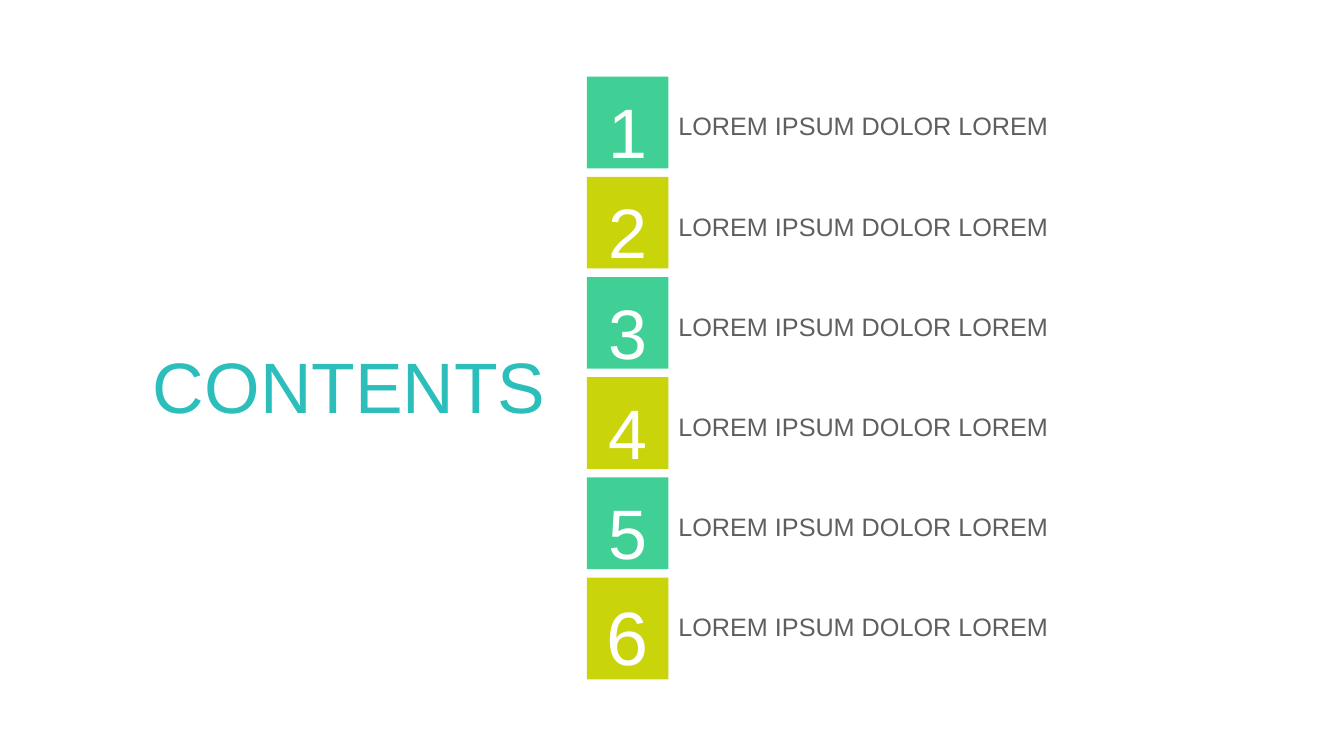
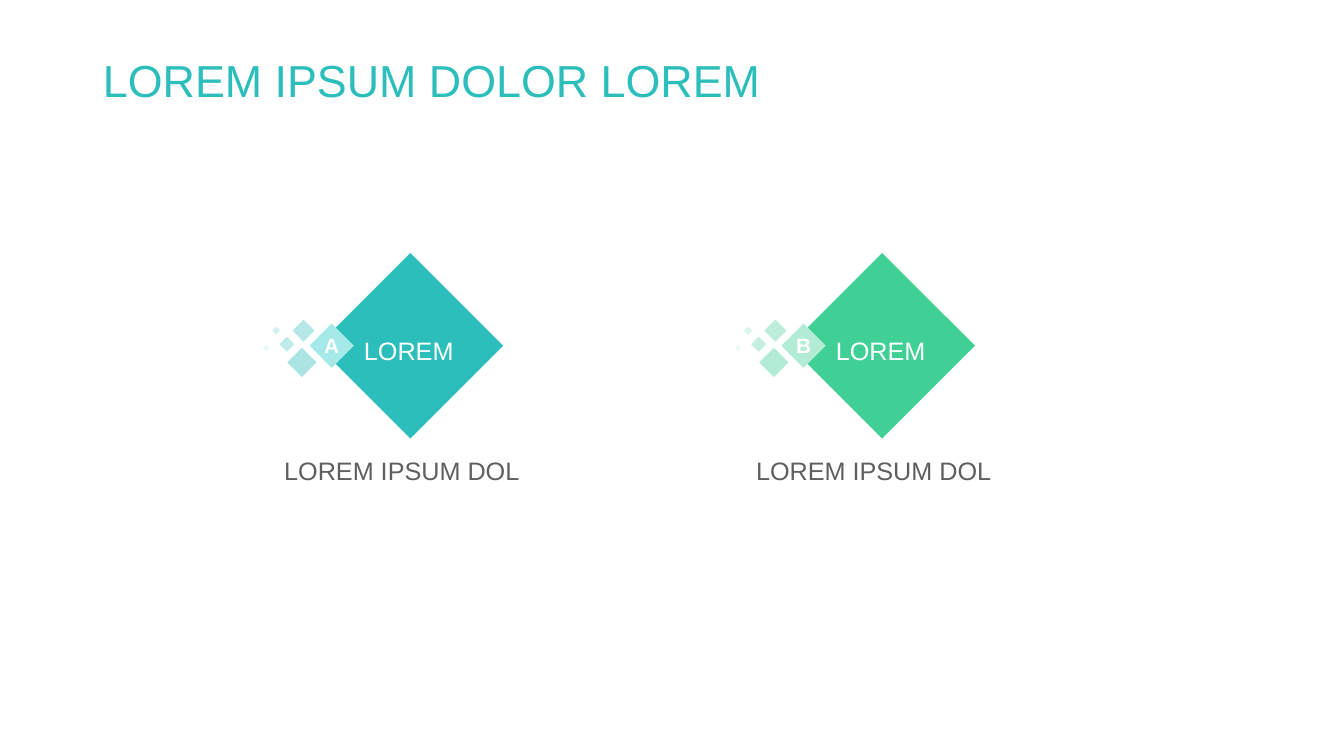
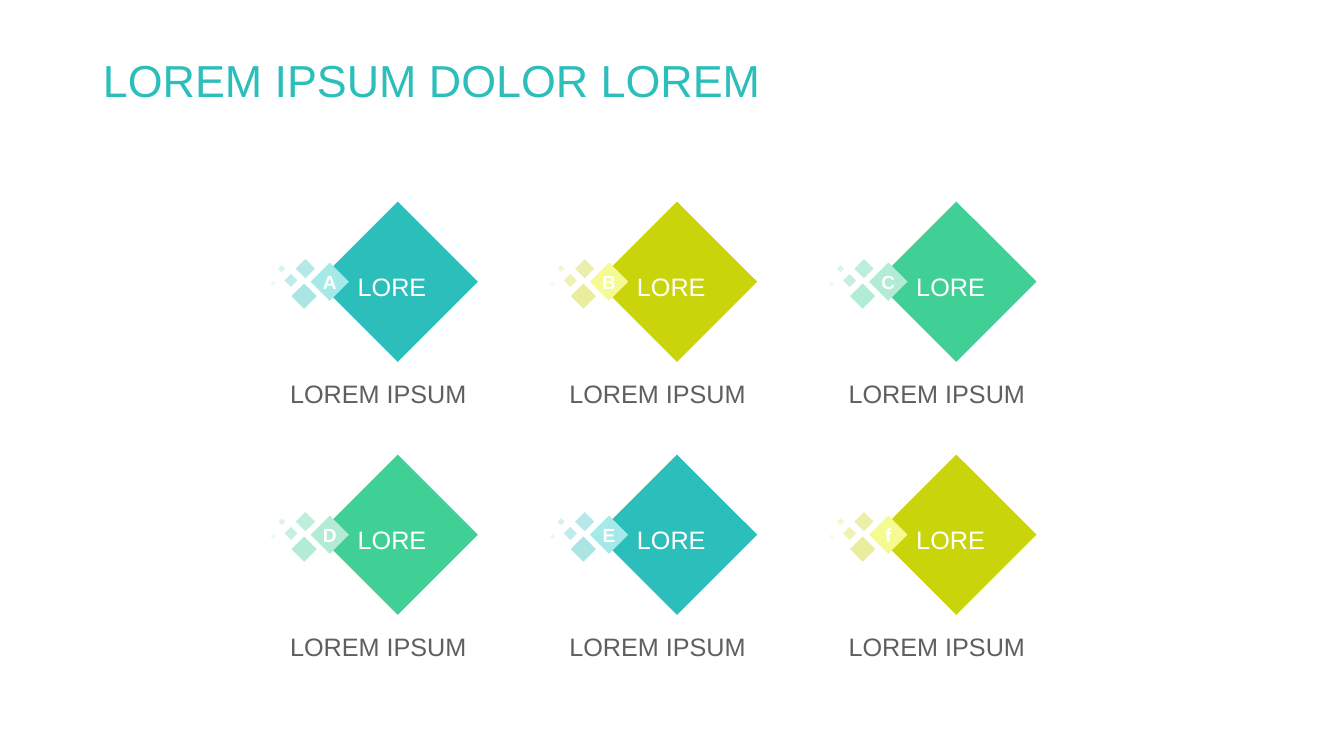
from pptx import Presentation
from pptx import util as u
from pptx.dml.color import RGBColor
from pptx.enum import shapes as sh, text as tx
from pptx.oxml.ns import qn
from lxml import etree

FONT = "Arial"
HUE = {"teal": "2CBEBB", "green": "40D096", "lime": "CAD40A",
       "grey": "5F5F5F", "white": "FFFFFF"}
PALE = {"teal": "A5EAE9", "green": "B3ECD5", "lime": "F5FA91"}
LINE = "LOREM IPSUM DOLOR LOREM"
BASE = 1.84
BITS = [(-0.3, 0.94, 0.29, 40), (-0.25, 0.66, 0.22, 35),
        (-0.38, 0.83, 0.15, 30), (-0.45, 0.73, 0.08, 20),
        (-0.54, 0.91, 0.06, 10)]
LEFT, MID, JUST = tx.PP_ALIGN.LEFT, tx.PP_ALIGN.CENTER, tx.PP_ALIGN.JUSTIFY
TOP, CTR = tx.MSO_ANCHOR.TOP, tx.MSO_ANCHOR.MIDDLE
PAD = (0.1, 0.05, 0.1, 0.05)
DROP = (0.1, 0.12, 0.1, 0)
NONE = (0, 0, 0, 0)


def inch(*vals):
    return [u.Inches(v) for v in vals]


def write(shape, words, size, color, align=LEFT, anchor=TOP, pad=PAD,
          space=None, bold=False):
    frame = shape.text_frame
    frame.text = words
    frame.word_wrap = True
    frame.auto_size = tx.MSO_AUTO_SIZE.NONE
    frame.vertical_anchor = anchor
    (frame.margin_left, frame.margin_top,
     frame.margin_right, frame.margin_bottom) = inch(*pad)
    para = frame.paragraphs[0]
    para.alignment = align
    if space:
        para.line_spacing = space
    font = para.runs[0].font
    font.name, font.size, font.bold = FONT, u.Pt(size), bold
    font.color.rgb = RGBColor.from_string(color)


def block(host, kind, box, color, alpha=None):
    shape = host.shapes.add_shape(kind, *inch(*box))
    shape.shadow.inherit = False
    shape.fill.solid()
    shape.fill.fore_color.rgb = RGBColor.from_string(color)
    shape.line.fill.background()
    if alpha:
        tone = shape.fill._xPr.find(qn("a:solidFill"))[0]
        etree.SubElement(tone, qn("a:alpha")).set("val", str(alpha * 1000))
    return shape


def start(deck, words, box=(0.92, 0.43, 11.5, 0.79), size=32, **style):
    slide = deck.slides.add_slide(deck.slide_layouts[5])
    title = slide.shapes.title
    title.left, title.top, title.width, title.height = inch(*box)
    write(title, words, size, HUE["teal"], **style)
    return slide


def entry(slide, num, left, top, tall, size):
    group = slide.shapes.add_group_shape()
    color = HUE["green" if num % 2 else "lime"]
    tile = block(group, sh.MSO_SHAPE.RECTANGLE, (left, top, 0.81, tall), color)
    write(tile, str(num), size, HUE["white"], MID, pad=DROP)
    label = group.shapes.add_textbox(*inch(left + 0.81, top + 0.27, 5.49, 0.42))
    write(label, LINE, 18, HUE["grey"], space=u.Pt(23))


def gem(slide, left, top, side, hue, mark, word, note, size):
    group = slide.shapes.add_group_shape()
    ratio = side / BASE

    def place(x, y, edge):
        return left + x * ratio, top + y * ratio, edge * ratio, edge * ratio

    kind = sh.MSO_SHAPE.DIAMOND
    main = block(group, kind, (left, top, side, side), HUE[hue])
    write(main, word, 18, HUE["white"], JUST, CTR, NONE, 1.3)
    x, y, wide, _ = place(-0.43, 1.9, 2.71)
    label = group.shapes.add_textbox(*inch(x, y, wide, 0.83))
    write(label, note, 18, HUE["grey"], JUST, space=1.2)
    badge = block(group, kind, place(-0.08, 0.7, 0.44), PALE[hue])
    write(badge, mark, size, HUE["white"], MID, CTR, NONE, bold=True)
    for x, y, edge, alpha in BITS:
        block(group, kind, place(x, y, edge), HUE[hue], alpha)


def contents(deck):
    slide = start(deck, "CONTENTS", (1.24, 3.27, 4.45, 1.11), 51,
                  align=MID, pad=DROP)
    step = 4.97 / 5
    for num in range(1, 7):
        tall, size = (1.01, 54) if num == 6 else (0.91, 50)
        entry(slide, num, 5.82, 0.76 + (num - 1) * step, tall, size)


def gems(deck, items, cols, top, side, gap, word, note, size):
    slide = start(deck, LINE, anchor=CTR, space=0.9)
    for i, (mark, hue) in enumerate(items):
        row, col = divmod(i, cols)
        gem(slide, 3.15 + col * gap, top + row * 2.51, side, hue, mark,
            word, note, size)


def main():
    deck = Presentation()
    deck.slide_width, deck.slide_height = inch(13.33, 7.5)
    contents(deck)
    gems(deck, [("A", "teal"), ("B", "green")], 2, 2.51, BASE, 4.68,
         "LOREM", "LOREM IPSUM DOL", 14.8)
    gems(deck, [("A", "teal"), ("B", "lime"), ("C", "green"),
                ("D", "green"), ("E", "teal"), ("f", "lime")],
         3, 2, 1.59, 2.77, "LORE", "LOREM IPSUM", 13.6)
    deck.save("out.pptx")


if __name__ == "__main__":
    main()
